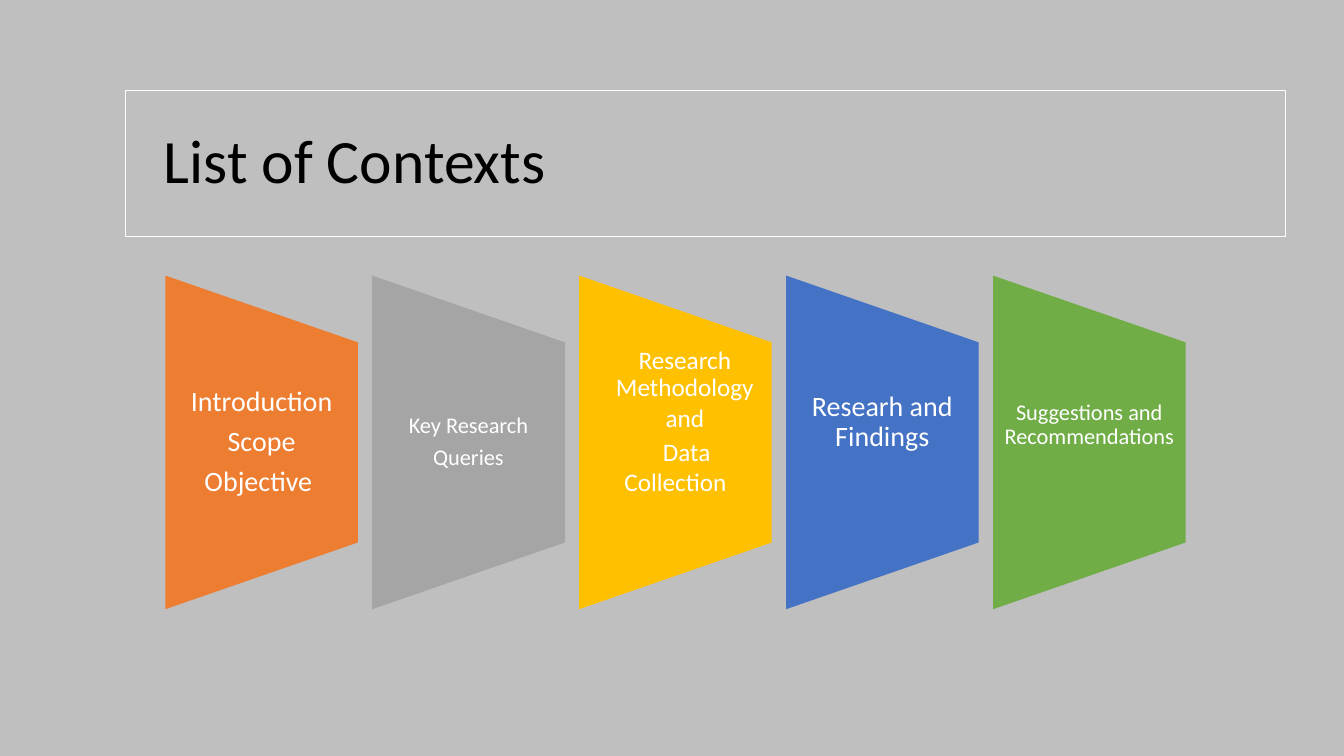
from dataclasses import dataclass

from pptx import Presentation
from pptx.dml.color import RGBColor
from pptx.enum.shapes import MSO_SHAPE
from pptx.enum.text import MSO_ANCHOR, PP_ALIGN
from pptx.util import Pt


@dataclass(frozen=True)
class Theme:
    """Colours, font and type sizes of the slide."""

    background: str = "BFBFBF"
    title_text: str = "000000"
    white: str = "FFFFFF"
    orange: str = "ED7D31"
    grey: str = "A5A5A5"
    yellow: str = "FFC000"
    blue: str = "4472C4"
    green: str = "70AD47"
    font: str = "Calibri"
    title_size: int = 44
    large: int = 20
    medium: int = 18
    small: int = 16


@dataclass(frozen=True)
class Line:
    """One paragraph of a panel, with spacing as a share of the type size."""

    text: str
    spacing: float = 0.9
    gap: float = 0.35
    margin: float = 0
    first_indent: float = 0


@dataclass(frozen=True)
class Panel:
    """One section of the contents; lift raises its text above the middle."""

    color: str
    size: int
    side_inset: float
    lines: tuple
    lift: float = 0


THEME = Theme()
PANEL_WIDTH, PANEL_HEIGHT = 137.5, 238.3
PANEL_LEFT, PANEL_MIDDLE, PANEL_PITCH = 118.1, 316, 147.8
LABEL_HEIGHT = 143.3

PANELS = (
    Panel(THEME.orange, THEME.large, 10,
          (Line("Introduction"), Line("Scope"), Line("Objective "))),
    Panel(THEME.grey, THEME.small, 8, (Line("Key Research"), Line("Queries"))),
    Panel(THEME.yellow, THEME.medium, 8.6,
          (Line("Research Methodology", gap=0.15, margin=13.5),
           Line("and", gap=0.15, margin=13.5),
           Line("Data Collection", spacing=1, gap=0, first_indent=16)), lift=14.5),
    Panel(THEME.blue, THEME.large, 10, (Line("Researh and Findings"),), lift=14.5),
    Panel(THEME.green, THEME.small, 8,
          (Line("Suggestions and Recommendations"),), lift=12),
)


def style_paragraph(paragraph, size, color, spacing, align):
    """Set the type and line spacing of a paragraph."""
    paragraph.alignment = align
    paragraph.line_spacing = spacing
    for run in paragraph.runs:
        run.font.name = THEME.font
        run.font.size = Pt(size)
        run.font.color.rgb = RGBColor.from_string(color)


def set_frame(frame, left, right, bottom=0):
    """Wrap a text frame, centre it vertically and set its insets."""
    frame.word_wrap = True
    frame.vertical_anchor = MSO_ANCHOR.MIDDLE
    frame.margin_left, frame.margin_right = Pt(left), Pt(right)
    frame.margin_top, frame.margin_bottom = 0, Pt(bottom)


def add_title(slide, text):
    """Add the outlined title box."""
    title = slide.shapes.add_shape(MSO_SHAPE.RECTANGLE, Pt(90), Pt(64.4), Pt(828), Pt(104.4))
    title.shadow.inherit = False
    title.fill.background()
    title.line.color.rgb = RGBColor.from_string(THEME.white)
    title.line.width = Pt(0.75)
    set_frame(title.text_frame, 27, 7.2)
    title.text_frame.text = text
    style_paragraph(title.text_frame.paragraphs[0], THEME.title_size,
                    THEME.title_text, 0.9, PP_ALIGN.LEFT)


def add_trapezoid(slide, left, color):
    """Add a panel background, turned so that its wide side faces left."""
    center = left + PANEL_WIDTH / 2
    trapezoid = slide.shapes.add_shape(
        MSO_SHAPE.FLOWCHART_MANUAL_OPERATION,
        Pt(center - PANEL_HEIGHT / 2), Pt(PANEL_MIDDLE - PANEL_WIDTH / 2),
        Pt(PANEL_HEIGHT), Pt(PANEL_WIDTH))
    trapezoid.rotation = 270
    trapezoid.shadow.inherit = False
    trapezoid.fill.solid()
    trapezoid.fill.fore_color.rgb = RGBColor.from_string(color)
    trapezoid.line.fill.background()


def add_label(slide, left, panel):
    """Add the upright text of a panel."""
    label = slide.shapes.add_textbox(Pt(left), Pt(PANEL_MIDDLE - LABEL_HEIGHT / 2),
                                     Pt(PANEL_WIDTH), Pt(LABEL_HEIGHT))
    frame = label.text_frame
    set_frame(frame, panel.side_inset, panel.side_inset, 2 * panel.lift)
    frame.text = "\n".join(line.text for line in panel.lines)
    for paragraph, line in zip(frame.paragraphs, panel.lines):
        style_paragraph(paragraph, panel.size, THEME.white, line.spacing, PP_ALIGN.CENTER)
        paragraph.space_after = Pt(line.gap * panel.size)
        properties = paragraph._p.get_or_add_pPr()
        properties.set("marL", str(Pt(line.margin)))
        properties.set("indent", str(Pt(line.first_indent)))


def main():
    """Build the contents slide and save it."""
    presentation = Presentation()
    presentation.slide_width, presentation.slide_height = Pt(960), Pt(540)
    slide = presentation.slides.add_slide(presentation.slide_layouts[6])
    slide.background.fill.solid()
    slide.background.fill.fore_color.rgb = RGBColor.from_string(THEME.background)
    add_title(slide, "List of Contexts")
    for index, panel in enumerate(PANELS):
        left = PANEL_LEFT + index * PANEL_PITCH
        add_trapezoid(slide, left, panel.color)
        add_label(slide, left, panel)
    presentation.save("out.pptx")


if __name__ == "__main__":
    main()
